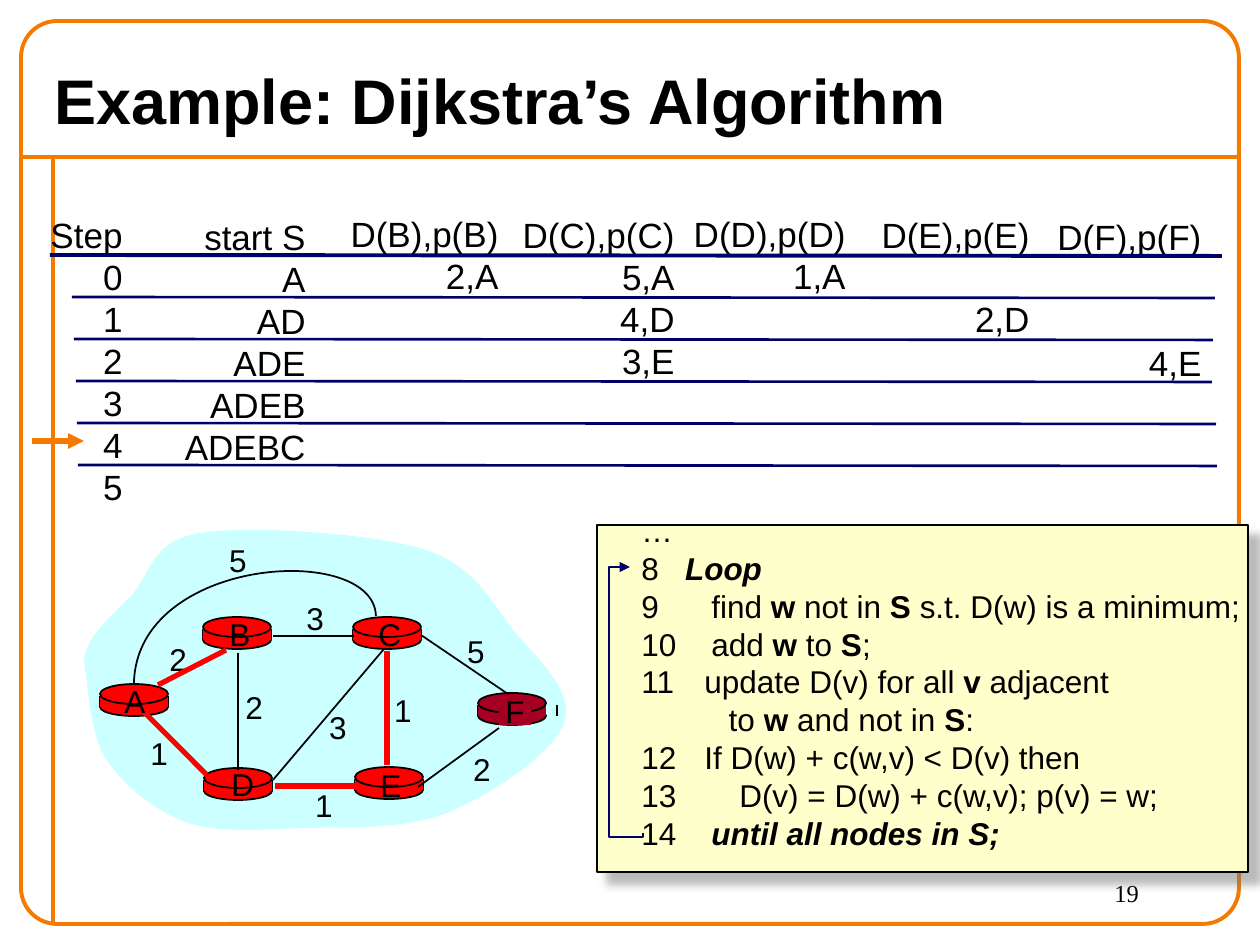
"""Build the slide with the worked example of Dijkstra's algorithm."""
from lxml.etree import SubElement
from pptx import Presentation
from pptx.dml.color import RGBColor
from pptx.enum.shapes import MSO_CONNECTOR, MSO_SHAPE
from pptx.enum.text import MSO_ANCHOR, PP_ALIGN
from pptx.oxml.ns import qn
from pptx.util import Emu, Inches, Pt

SCALE = 914400 / 126
COLORS = {"black": "000000", "orange": "F47A00", "navy": "000066", "red": "FF0000",
          "wine": "A50021", "cloud": "CCFFFF", "note": "FFFFCC", "shade": "777777"}
ROW_HEIGHT, ROW_PITCH = 24, 42

COLUMNS = [
    (34, 207, 101, ["Step", "0", "1", "2", "3", "4", "5"]),
    (168, 209, 150, ["start S", "A", "AD", "ADE", "ADEB", "ADEBC"]),
    (334, 206, 177, ["D(B),p(B)", "2,A"]),
    (506, 207, 181, ["D(C),p(C)", "5,A", "4,D", "3,E"]),
    (678, 206, 180, ["D(D),p(D)", "1,A"]),
    (865, 207, 177, ["D(E),p(E)", "", "2,D"]),
    (1042, 209, 172, ["D(F),p(F)", "", "", "4,E"]),
]
RULE_ENDS = [(50, 1222), (72, 1215), (74, 1213), (76, 1212), (77, 1216), (78, 1217)]
NODES = {"A": (100, 684, 134, 676), "D": (204, 768, 241, 759), "B": (203, 617, 239, 609),
         "C": (353, 617, 388, 609), "E": (355, 767, 390, 760), "F": (478, 693, 515, 686)}
THIN_EDGES = [(238, 653, 238, 770), (273, 780, 384, 649), (354, 636, 273, 636),
              (508, 694, 421, 635), (418, 787, 499, 728)]
PATH_EDGES = [(355, 786, 275, 786), (145, 713, 207, 775),
              (158, 685, 226, 650), (387, 651, 387, 765)]
COSTS = [("2", 178, 634), ("2", 254, 682), ("1", 159, 728), ("3", 338, 702), ("1", 324, 780),
         ("1", 403, 685), ("2", 482, 744), ("5", 476, 626), ("3", 315, 593), ("5", 238, 535)]
CLOUD = [(84, 661), (86, 636), (112, 616), (132, 595), (151, 573), (151, 541), (200, 533),
         (248, 525), (370, 533), (423, 549), (476, 566), (491, 602), (514, 631),
         (538, 659), (576, 693), (564, 723), (554, 753), (491, 795), (447, 813),
         (403, 830), (345, 827), (301, 828), (258, 830), (218, 833), (185, 822),
         (154, 810), (123, 785), (106, 759), (89, 732), (88, 682), (84, 661)]
ARC = [(376, 616), (374, 542), (137, 556), (134, 683)]
LOOP_ARROW = [(643, 833), (643, 837), (609, 837), (609, 567), (630, 567)]
CODE = [
    ("…", None),
    ("8   *Loop", None),
    ("9      find *w* not in *S *s.t. D(w) is a minimum;", None),
    ("10    add *w* to *S*;", None),
    ("update D(v) for all *v* adjacent", 11),
    ("          to *w* and not in *S*:", None),
    ("If D(w) + c(w,v) < D(v) then", 12),
    ("    D(v) = D(w) + c(w,v); p(v) = w;", 12),
    ("14    *until all nodes in S;", None),
]
KEYWORDS = {"Loop", "until all nodes in S;"}


def px(length):
    return Emu(round(length * SCALE))


def rgb(color):
    return RGBColor.from_string(COLORS[color])


class Board:
    """Draws styled elements on one slide."""

    def __init__(self, slide, font="Arial"):
        self.shapes = slide.shapes
        self.font = font

    def paint(self, shape, fill, line, width):
        shape.shadow.inherit = False
        if fill:
            shape.fill.solid()
            shape.fill.fore_color.rgb = rgb(fill)
        else:
            shape.fill.background()
        if line:
            shape.line.color.rgb = rgb(line)
            shape.line.width = Pt(width)
        else:
            shape.line.fill.background()
        return shape

    def shape(self, kind, box, fill=None, line=None, width=1):
        return self.paint(self.shapes.add_shape(kind, *map(px, box)), fill, line, width)

    def outline(self, points, fill=None, line=None, width=1, close=False):
        corners = [(px(x), px(y)) for x, y in points]
        builder = self.shapes.build_freeform(*corners[0], scale=1.0)
        builder.add_line_segments(corners[1:], close=close)
        return self.paint(builder.convert_to_shape(), fill, line, width)

    def curve(self, points, **look):
        shape = self.outline(points, **look)
        segments = list(shape._element.iter(qn("a:lnTo")))
        for first in range(0, len(segments), 3):
            bend = segments[first]
            bend.tag = qn("a:cubicBezTo")
            for segment in segments[first + 1:first + 3]:
                bend.append(segment[0])
                segment.getparent().remove(segment)
        return shape

    def line(self, ends, color="black", width=1):
        connector = self.shapes.add_connector(MSO_CONNECTOR.STRAIGHT, *map(px, ends))
        connector.line.color.rgb = rgb(color)
        connector.line.width = Pt(width)
        SubElement(connector._element.spPr, qn("a:effectLst"))
        return connector

    def arrowhead(self, shape):
        SubElement(shape.line._get_or_add_ln(), qn("a:tailEnd"), type="triangle")

    def frame(self, box, wrap=False, anchor=MSO_ANCHOR.TOP):
        frame = self.shapes.add_textbox(*map(px, box)).text_frame
        frame.word_wrap = wrap
        frame.vertical_anchor = anchor
        return frame

    def style(self, font, size, bold=False, italic=False, name=None):
        font.name = name or self.font
        font.size = Pt(size)
        font.bold = bold
        font.italic = italic
        font.color.rgb = rgb("black")

    def text(self, box, words, size, align=PP_ALIGN.LEFT, pitch=None,
             bold=False, name=None, anchor=MSO_ANCHOR.TOP):
        frame = self.frame(box, wrap=True, anchor=anchor)
        paragraph = frame.paragraphs[0]
        paragraph.text = words
        paragraph.alignment = align
        if pitch:
            paragraph.line_spacing = Pt(pitch)
        self.style(paragraph.runs[0].font, size, bold, name=name)
        return frame

    def column(self, left, top, width, entries):
        height = len(entries) * ROW_PITCH + 13
        frame = self.text((left, top, width, height), entries[0], 20, PP_ALIGN.RIGHT, ROW_HEIGHT)
        skipped = 0
        for entry in entries[1:]:
            if not entry:
                skipped += 1
                continue
            paragraph = frame.add_paragraph()
            paragraph.text = entry
            paragraph.alignment = PP_ALIGN.RIGHT
            paragraph.line_spacing = Pt(ROW_HEIGHT)
            paragraph.space_before = Pt(ROW_HEIGHT * skipped)
            self.style(paragraph.runs[0].font, 20)
            skipped = 0

    def router(self, x, y, color, right):
        self.shape(MSO_SHAPE.OVAL, (x, y + 14, 68, 18), color, "black")
        for side in (x, right):
            self.line((side, y + 12, side, y + 23))
        self.shape(MSO_SHAPE.RECTANGLE, (x, y + 12, 68, 11), color)
        self.shape(MSO_SHAPE.OVAL, (x, y, 68, 20), color, "black")

    def label(self, words, center, top):
        self.text((center - 22, top, 44, 50), words, 18, PP_ALIGN.CENTER, 21.6)

    def listing(self, box, lines):
        frame = self.frame(box, wrap=True)
        for index, (line, start) in enumerate(lines):
            paragraph = frame.add_paragraph() if index else frame.paragraphs[0]
            props = paragraph._p.get_or_add_pPr()
            props.set("marL", str(Inches(0.5)))
            props.set("indent", str(-Inches(0.5)))
            if start:
                SubElement(props, qn("a:buAutoNum"), type="arabicPlain", startAt=str(start))
            paragraph.line_spacing = Pt(21.6)
            for part, words in enumerate(line.split("*")):
                run = paragraph.add_run()
                run.text = words
                self.style(run.font, 18, part % 2 == 1, words in KEYWORDS)

    def drop_shadow(self, shape):
        effects = shape._element.spPr.find(qn("a:effectLst"))
        shadow = SubElement(effects, qn("a:outerShdw"), blurRad=str(Pt(5)), dist=str(Pt(8.5)),
                            dir="2700000", algn="tl", rotWithShape="0")
        tint = SubElement(shadow, qn("a:srgbClr"), val=COLORS["shade"])
        SubElement(tint, qn("a:alpha"), val="50000")


def main():
    deck = Presentation()
    deck.slide_width, deck.slide_height = Inches(10), Inches(7.5)
    board = Board(deck.slides.add_slide(deck.slide_layouts[6]))

    board.line((21, 157, 1239, 157), "orange", 2.25)
    board.line((53, 157, 53, 924), "orange", 2.25)
    border = board.shape(MSO_SHAPE.ROUNDED_RECTANGLE, (21, 21, 1218, 903), None, "orange", 2.25)
    border.adjustments[0] = 0.04
    board.text((1102, 872, 126, 53), "19", 14, name="Times New Roman")
    board.text((42, 52, 1197, 95), "Example: Dijkstra’s Algorithm", 36, bold=True,
               anchor=MSO_ANCHOR.MIDDLE)

    for column in COLUMNS:
        board.column(*column)
    for row, (left, right) in enumerate(RULE_ENDS):
        y = 255 + row * ROW_PITCH
        board.line((left, y, right, y + 1), "navy", 1.5 if row else 2.25)
    board.arrowhead(board.line((32, 441, 84, 441), "orange", 3))

    board.curve(CLOUD, fill="cloud", close=True)
    for name, (x, y, _, _) in NODES.items():
        if name == "F":
            board.router(x, y, "wine", 557)
        else:
            board.router(x, y, "red", x + 68)
    for edge in THIN_EDGES:
        board.line(edge)
    board.curve(ARC, line="black")
    board.shape(MSO_SHAPE.RECTANGLE, (499, 696, 32, 29), "wine")
    for name, (_, _, center, top) in NODES.items():
        board.label(name, center, top)
    for cost in COSTS:
        board.label(*cost)
    for edge in PATH_EDGES:
        board.line(edge, "red", 3)

    board.drop_shadow(board.shape(MSO_SHAPE.RECTANGLE, (597, 525, 651, 347), "note", "black"))
    board.listing((629, 505, 630, 353), CODE)
    board.arrowhead(board.outline(LOOP_ARROW, line="navy", width=1.5))
    deck.save("out.pptx")


if __name__ == "__main__":
    main()
